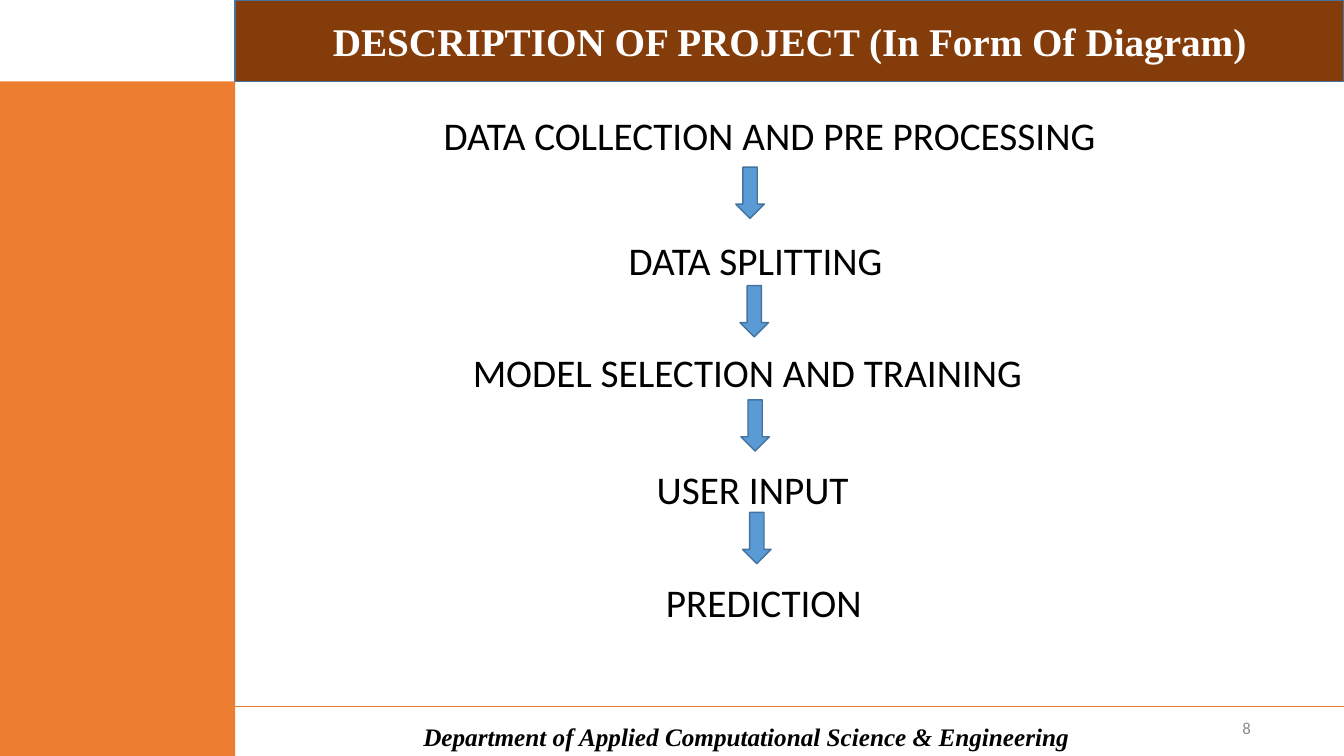
from typing import NamedTuple

from lxml import etree
from pptx import Presentation
from pptx import util as u
from pptx.dml.color import RGBColor
from pptx.enum import shapes, text
from pptx.oxml import ns

WHITE = RGBColor(0xFF, 0xFF, 0xFF)
BLACK = RGBColor(0x00, 0x00, 0x00)
GREY = RGBColor(0x8C, 0x8C, 0x8C)
ORANGE = RGBColor(0xED, 0x7D, 0x31)
BROWN = RGBColor(0x84, 0x3C, 0x0B)
BLUE = RGBColor(0x5B, 0x9B, 0xD5)
EDGE = RGBColor(0x43, 0x73, 0x9E)

WIDTH, HEIGHT = u.Inches(13.33), u.Inches(7.5)
COLUMNS, ROWS = 160, 90
SIDEBAR_COLUMNS, HEADER_ROWS, FOOTER_ROW = 28, 9.7, 84.1
STEP_ROWS = 6.8
ARROW_COLUMNS, ARROW_ROWS = 3.4, 6.1

LEFT, CENTER, RIGHT = text.PP_ALIGN.LEFT, text.PP_ALIGN.CENTER, text.PP_ALIGN.RIGHT


class Area(NamedTuple):
    column: float
    row: float
    columns: float
    rows: float


class Style(NamedTuple):
    font: str
    size: float
    color: RGBColor
    bold: bool = False
    italic: bool = False


class Step(NamedTuple):
    words: str
    column: float
    row: float
    columns: float
    align: text.PP_ALIGN = LEFT
    wrap: bool = True


class Arrow(NamedTuple):
    column: float
    row: float


TITLE = Style("Times New Roman", 28, WHITE, bold=True)
DEPARTMENT = Style("Times New Roman", 18, BLACK, bold=True, italic=True)
NUMBER = Style("Calibri", 12, GREY)
STEP = Style("Calibri", 28, BLACK)

STEPS = [
    Step("DATA COLLECTION AND PRE PROCESSING", 51.2, 12.6, 80.8, CENTER),
    Step("DATA SPLITTING", 73.2, 27.5, 33.5, CENTER),
    Step("MODEL SELECTION AND TRAINING", 55.1, 40.9, 83.6),
    Step("USER INPUT", 77, 54.8, 26.2),
    Step("PREDICTION", 78.1, 68.3, 25.9, wrap=False),
]
ARROWS = [Arrow(87.6, 19.9), Arrow(88.1, 34), Arrow(88.2, 47.6), Arrow(88.4, 61)]


def across(columns: float) -> int:
    return round(WIDTH * columns / COLUMNS)


def down(rows: float) -> int:
    return round(HEIGHT * rows / ROWS)


def place(area: Area) -> tuple[int, int, int, int]:
    return across(area.column), down(area.row), across(area.columns), down(area.rows)


def write(frame, words: str, style: Style, align, anchor=text.MSO_ANCHOR.MIDDLE) -> None:
    frame.word_wrap = True
    frame.vertical_anchor = anchor
    para = frame.paragraphs[0]
    para.alignment = align
    span = para.add_run()
    span.text = words
    span.font.name = style.font
    span.font.size = u.Pt(style.size)
    span.font.color.rgb = style.color
    span.font.bold = style.bold
    span.font.italic = style.italic


def add_label(page, area: Area, words: str, style: Style, align) -> None:
    box = page.shapes.add_textbox(*place(area))
    write(box.text_frame, words, style, align)


def add_step(page, step: Step) -> None:
    area = Area(step.column, step.row, step.columns, STEP_ROWS)
    frame = page.shapes.add_textbox(*place(area)).text_frame
    write(frame, step.words, STEP, step.align, text.MSO_ANCHOR.TOP)
    frame.word_wrap = step.wrap
    frame.auto_size = text.MSO_AUTO_SIZE.SHAPE_TO_FIT_TEXT


def add_block(page, kind, area: Area, fill: RGBColor, edge: RGBColor | None = None):
    block = page.shapes.add_shape(kind, *place(area))
    block.shadow.inherit = False
    block.fill.solid()
    block.fill.fore_color.rgb = fill
    if edge is None:
        block.line.fill.background()
    else:
        block.line.color.rgb = edge
        block.line.width = u.Pt(1)
    return block


def add_rule(page, row: float) -> None:
    rule = page.shapes.add_connector(
        shapes.MSO_CONNECTOR.STRAIGHT, 0, down(row), WIDTH, down(row)
    )
    rule.line.color.rgb = ORANGE
    rule.line.width = u.Pt(0.5)
    etree.SubElement(rule._element.spPr, ns.qn("a:effectLst"))


def main() -> None:
    deck = Presentation()
    deck.slide_width, deck.slide_height = WIDTH, HEIGHT
    page = deck.slides.add_slide(deck.slide_layouts[6])
    rectangle = shapes.MSO_SHAPE.RECTANGLE

    add_rule(page, FOOTER_ROW)
    add_label(
        page, Area(45.4, 86.3, 86.9, 2.8),
        "Department of Applied Computational Science & Engineering", DEPARTMENT, CENTER,
    )
    add_label(page, Area(114.1, 84.2, 36, 4.8), "8", NUMBER, RIGHT)

    sidebar = Area(0, HEADER_ROWS, SIDEBAR_COLUMNS, ROWS - HEADER_ROWS)
    add_block(page, rectangle, sidebar, ORANGE)
    header = Area(SIDEBAR_COLUMNS, 0, COLUMNS - SIDEBAR_COLUMNS, HEADER_ROWS)
    banner = add_block(page, rectangle, header, BROWN, EDGE)
    write(banner.text_frame, "DESCRIPTION OF PROJECT (In Form Of Diagram)", TITLE, CENTER)

    for step in STEPS:
        add_step(page, step)
    for arrow in ARROWS:
        area = Area(arrow.column, arrow.row, ARROW_COLUMNS, ARROW_ROWS)
        add_block(page, shapes.MSO_SHAPE.DOWN_ARROW, area, BLUE, EDGE)

    deck.save("out.pptx")


if __name__ == "__main__":
    main()
